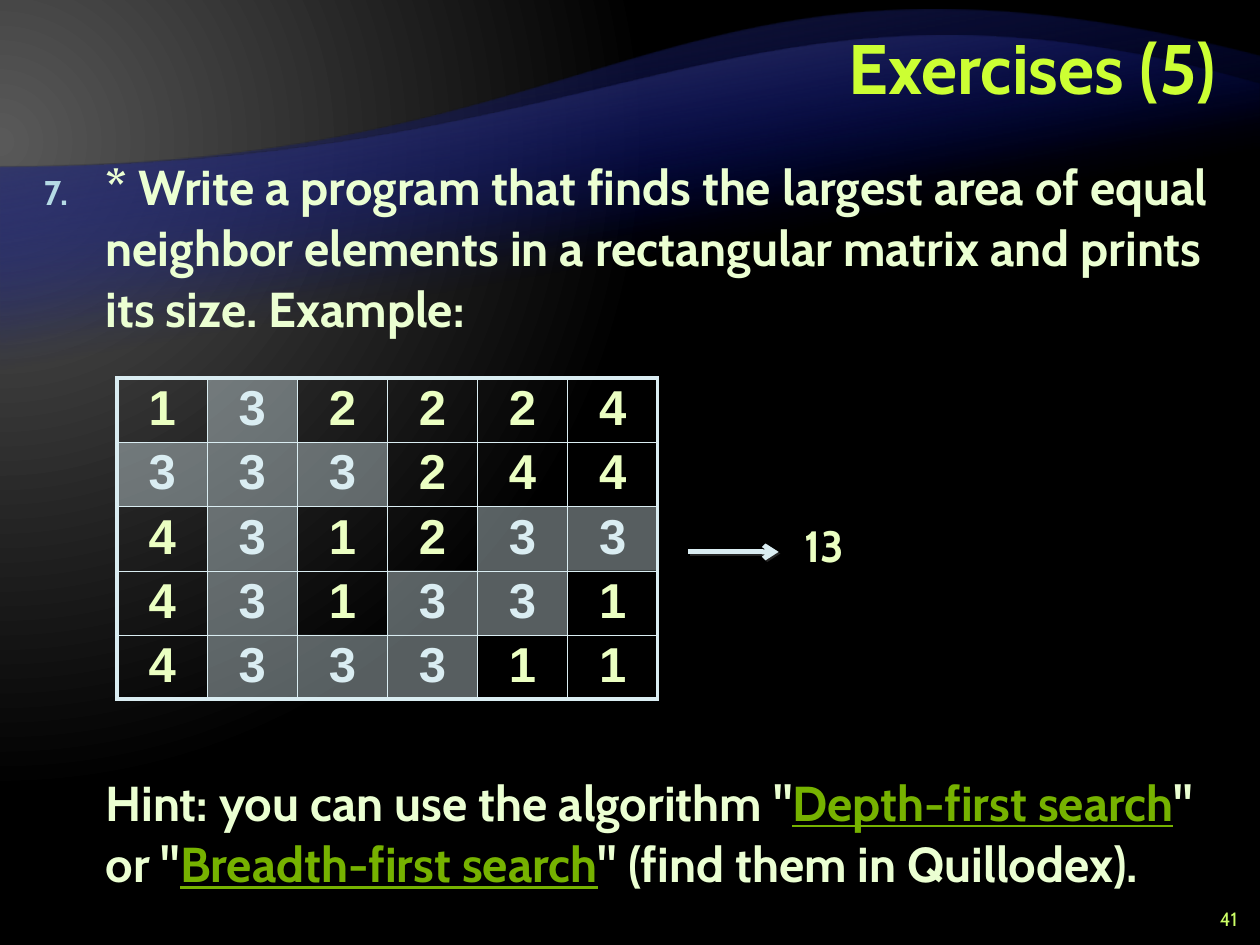
from pptx import Presentation
from pptx.dml.color import RGBColor as RGB
from pptx.enum.shapes import MSO_CONNECTOR as CONN
from pptx.enum.text import MSO_ANCHOR as ANCHOR, PP_ALIGN as ALIGN
from pptx.oxml import parse_xml
from pptx.oxml.ns import nsdecls, qn
from pptx.util import Inches, Pt

COLORS = {
    "black": "000000", "gray": "595959", "dark": "262626", "blue": "000D9E",
    "title": "CCFF33", "body": "EBFFD2", "link": "76B200", "bullet": "B5DBE5",
    "number": "EBFFC2", "ice": "DAEDF2", "page": "CCFF66",
}
FORMATS = {
    "title": {"name": "Cabin", "size": Pt(40), "bold": True},
    "body": {"name": "Cabin", "size": Pt(28), "bold": True},
    "link": {"name": "Cabin", "size": Pt(28), "bold": True, "underline": True},
    "cell": {"name": "Arial", "size": Pt(28), "bold": True},
    "result": {"name": "Cabin", "size": Pt(25), "bold": True},
    "page": {"name": "Cabin", "size": Pt(11), "bold": False},
}
MATRIX = ["132224", "333244", "431233", "431331", "433311"]
AREA = {(0, 1), (1, 0), (1, 1), (1, 2), (2, 1), (2, 4), (2, 5),
        (3, 1), (3, 3), (3, 4), (4, 1), (4, 2), (4, 3)}
TASK = [("* Write a program that finds the largest area of equal neighbor "
         "elements in a rectangular matrix and prints its size. Example:", "body")]
HINT = [('Hint: you can use the algorithm "', "body"), ("Depth-first search", "link"),
        ('" or "', "body"), ("Breadth-first search", "link"),
        ('" (find them in Quillodex).', "body")]


def set_all(obj, values):
    for name, value in values.items():
        setattr(obj, name, value)


def add_run(p, text, style, color):
    r = p.add_run()
    r.text = text
    set_all(r.font, FORMATS[style])
    r.font.color.rgb = RGB.from_string(COLORS[color])


def add_text_frame(slide, box, **values):
    sp = slide.shapes.add_textbox(*map(Inches, box))
    set_all(sp.text_frame, {"word_wrap": True, **values})
    return sp.text_frame


def add_label(slide, box, text, style, color, para=None, **values):
    p = add_text_frame(slide, box, **values).paragraphs[0]
    set_all(p, para or {})
    add_run(p, text, style, color)


def gradient(stops, direction):
    gs = "".join(
        f'<a:gs pos="{pos * 1000}"><a:srgbClr val="{COLORS[color]}">'
        f'<a:alpha val="{alpha * 1000}"/></a:srgbClr></a:gs>'
        for pos, color, alpha in stops)
    return parse_xml(f'<a:gradFill {nsdecls("a")} rotWithShape="1">'
                     f'<a:gsLst>{gs}</a:gsLst>{direction}</a:gradFill>')


def set_background(slide):
    slide.background.fill.solid()
    solid = slide._element.find(".//" + qn("a:solidFill"))
    solid.getparent().replace(solid, gradient(
        [(0, "gray", 100), (83, "black", 100)],
        '<a:path path="circle"><a:fillToRect l="20000" t="30000" '
        'r="135000" b="100000"/></a:path>'))


def bezier(points, steps=60):
    for i in range(steps + 1):
        t = i / steps
        weights = ((1 - t) ** 3, 3 * t * (1 - t) ** 2, 3 * t * t * (1 - t), t ** 3)
        yield tuple(sum(w * pt[k] for w, pt in zip(weights, points)) for k in (0, 1))


def add_wave(slide, curve, bottom, color):
    outline = [*bezier(curve), (10, bottom)]
    builder = slide.shapes.build_freeform(0, Inches(bottom), scale=1.0)
    builder.add_line_segments([(Inches(x), Inches(y)) for x, y in outline])
    sp = builder.convert_to_shape()
    sp.shadow.inherit = False
    sp.line.fill.background()
    sp.fill.solid()
    solid = sp._element.spPr.find(qn("a:solidFill"))
    solid.getparent().replace(solid, gradient(
        [(65, "blue", 0), (100, color, 100)], '<a:lin ang="15600000" scaled="0"/>'))


def add_body(slide):
    tf = add_text_frame(slide, (0.25, 1.17, 9.5, 6.17))
    for i, (runs, before) in enumerate([(TASK, 6), (HINT, 241)]):
        p = tf.add_paragraph() if i else tf.paragraphs[0]
        set_all(p, {"line_spacing": Pt(35), "space_before": Pt(before),
                    "space_after": Pt(6)})
        pPr = p._p.get_or_add_pPr()
        pPr.set("marL", str(Inches(0.49)))
        pPr.set("indent", str(0 if i else -Inches(0.49)))
        for text, style in runs:
            add_run(p, text, style, style)
    pPr = tf.paragraphs[0]._p.pPr
    for xml in (f'<a:buClr {nsdecls("a")}><a:srgbClr val="{COLORS["bullet"]}"/></a:buClr>',
                f'<a:buSzPct {nsdecls("a")} val="70000"/>',
                f'<a:buFont {nsdecls("a")} typeface="Cabin"/>',
                f'<a:buAutoNum {nsdecls("a")} type="arabicPeriod" startAt="7"/>'):
        pPr.append(parse_xml(xml))


def set_borders(cell, outer):
    for i, side in enumerate("LRTB"):
        width = Pt(2.25 if outer[side] else 0.25)
        cell._tc.get_or_add_tcPr().insert(i, parse_xml(
            f'<a:ln{side} {nsdecls("a")} w="{width}"><a:solidFill>'
            f'<a:srgbClr val="{COLORS["ice"]}"/></a:solidFill></a:ln{side}>'))


def add_matrix(slide):
    rows, cols = len(MATRIX), len(MATRIX[0])
    table = slide.shapes.add_table(rows, cols, Inches(0.93), Inches(3),
                                   Inches(0.72 * cols), Inches(0.51 * rows)).table
    set_all(table, {"first_row": False, "horz_banding": False})
    for column in table.columns:
        column.width = Inches(0.715)
    for i, line in enumerate(MATRIX):
        for j, digit in enumerate(line):
            cell = table.cell(i, j)
            set_all(cell, {"margin_top": Inches(0.03), "margin_bottom": Inches(0.03),
                           "vertical_anchor": ANCHOR.MIDDLE})
            marked = (i, j) in AREA
            if marked:
                cell.fill.solid()
                cell.fill.fore_color.rgb = RGB.from_string(COLORS["ice"])
                cell._tc.tcPr.find(".//" + qn("a:srgbClr")).append(
                    parse_xml(f'<a:alpha {nsdecls("a")} val="40000"/>'))
            else:
                cell.fill.background()
            set_borders(cell, {"L": j == 0, "R": j == cols - 1,
                               "T": i == 0, "B": i == rows - 1})
            p = cell.text_frame.paragraphs[0]
            set_all(p, {"alignment": ALIGN.CENTER, "line_spacing": 0.95})
            add_run(p, digit, "cell", "ice" if marked else "number")


def add_arrow(slide, x1, x2, y):
    line = slide.shapes.add_connector(CONN.STRAIGHT, *map(Inches, (x1, y, x2, y)))
    line.line.width = Pt(2.75)
    line.line.color.rgb = RGB.from_string(COLORS["ice"])
    spPr = line._element.spPr
    spPr.find(qn("a:ln")).append(parse_xml(f'<a:tailEnd {nsdecls("a")} type="arrow"/>'))
    spPr.append(parse_xml(
        f'<a:effectLst {nsdecls("a")}><a:outerShdw dist="{Pt(1.4)}" dir="2700000">'
        f'<a:srgbClr val="{COLORS["dark"]}"/></a:outerShdw></a:effectLst>'))


def main():
    prs = Presentation()
    set_all(prs, {"slide_width": Inches(10), "slide_height": Inches(7.5)})
    slide = prs.slides.add_slide(prs.slide_layouts[6])
    set_background(slide)
    add_wave(slide, [(0, 1.33), (5, 1.33), (5.34, -0.75), (10, 0.45)], 6.53, "dark")
    add_wave(slide, [(0, 1.33), (5, 1.33), (5.98, -0.49), (10, 0.67)], 5.57, "gray")
    add_label(slide, (2, 0.08, 7.75, 1), "Exercises (5)", "title", "title",
              {"alignment": ALIGN.RIGHT, "line_spacing": Pt(40)},
              vertical_anchor=ANCHOR.MIDDLE)
    add_body(slide)
    add_matrix(slide)
    add_label(slide, (6.29, 4.07, 0.54, 0.52), "13", "result", "number", word_wrap=False)
    add_arrow(slide, 5.46, 6.18, 4.38)
    add_label(slide, (9.42, 7.17, 0.5, 0.25), "41", "page", "page",
              {"alignment": ALIGN.RIGHT}, vertical_anchor=ANCHOR.MIDDLE)
    prs.save("out.pptx")


if __name__ == "__main__":
    main()
